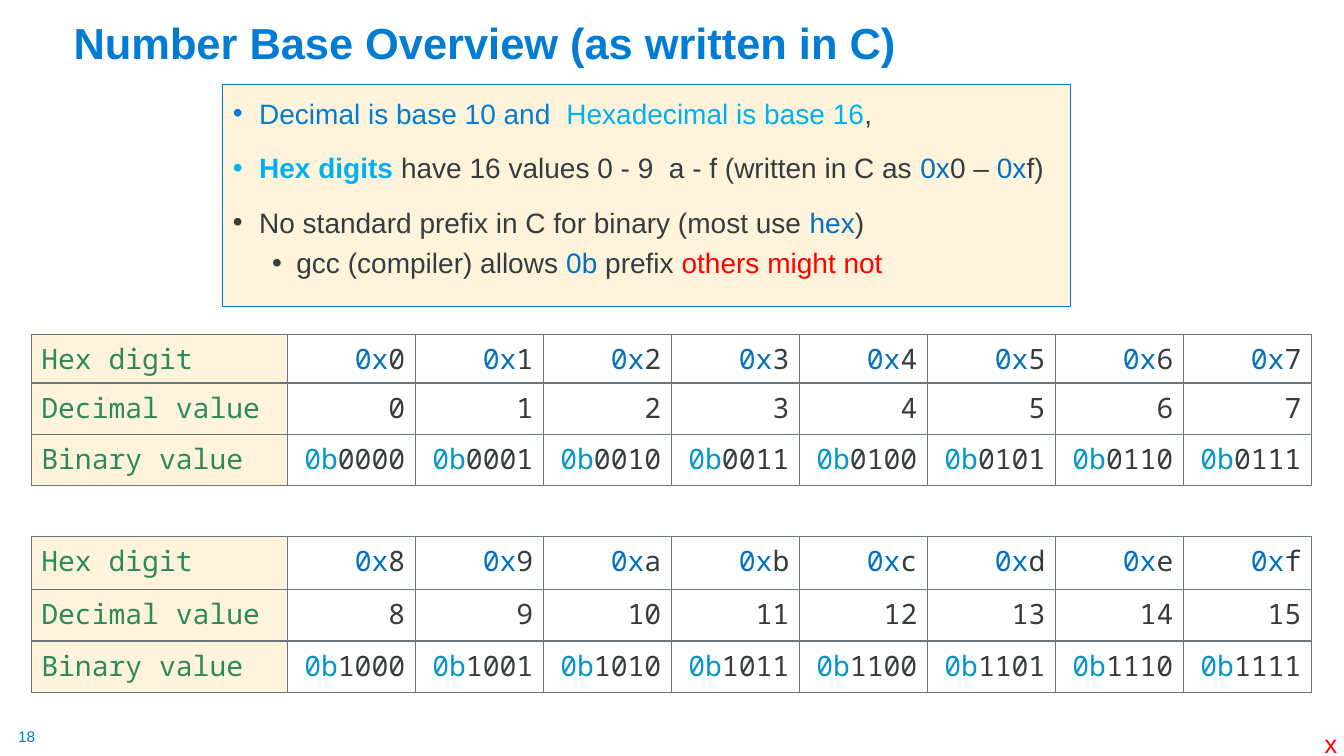
from lxml.etree import SubElement
from pptx import Presentation
from pptx.dml.color import RGBColor
from pptx.enum.text import MSO_ANCHOR, MSO_AUTO_SIZE, PP_ALIGN
from pptx.oxml.ns import qn
from pptx.util import Inches, Pt

# Colours and fonts
BLUE = RGBColor(0x00, 0x7C, 0xD5)
SKY = RGBColor(0x00, 0xB0, 0xF0)
HEX_BLUE = RGBColor(0x00, 0x70, 0xC0)
BINARY_BLUE = RGBColor(0x00, 0x98, 0xC9)
INK = RGBColor(0x36, 0x3B, 0x3E)
GREEN = RGBColor(0x2C, 0x89, 0x5B)
RED = RGBColor(0xFF, 0x00, 0x00)
CREAM = RGBColor(0xFF, 0xF4, 0xDB)
BORDER = RGBColor(0x6B, 0x76, 0x7D)
SANS = "Arial"
MONO = "Noto Sans Mono"

# Grid: a label column is two digit columns wide
COLUMN = 1.27
TABLE_LEFT = 0.31
DIGITS_PER_TABLE = 8
ROW = 0.51

# Bullets: level, then runs of text, colour and optional bold
BULLETS = [
    (0, [("Decimal is base 10 and  ", BLUE), ("Hexadecimal is base 16", SKY), (",", INK)]),
    (0, [("Hex digits ", SKY, True), ("have 16 values 0 - 9  a - f (written in C as ", INK),
         ("0x", HEX_BLUE), ("0 – ", INK), ("0x", HEX_BLUE), ("f)", INK)]),
    (0, [("No standard prefix in C for binary (most use ", INK), ("hex", HEX_BLUE), (")", INK)]),
    (1, [("gcc (compiler) allows ", INK), ("0b ", HEX_BLUE), ("prefix ", INK),
         ("others might not", RED)]),
]
# Per level: left margin, hanging indent, line spacing, space before
LEVELS = [(0.26, -0.26, 1.2, 10), (0.63, -0.24, 1.0, 5)]


def place(shape, left, top, width, height):
    shape.left, shape.top = Inches(left), Inches(top)
    shape.width, shape.height = Inches(width), Inches(height)


def add_run(paragraph, text, colour, size=20, font=SANS, bold=False):
    run = paragraph.add_run()
    run.text = text
    run.font.name = font
    run.font.size = Pt(size)
    run.font.bold = bold
    run.font.color.rgb = colour


def set_bullet(paragraph, margin, indent):
    properties = paragraph._p.get_or_add_pPr()
    properties.set("marL", str(Inches(margin)))
    properties.set("indent", str(Inches(indent)))
    SubElement(properties, qn("a:buFont"), typeface=SANS)
    SubElement(properties, qn("a:buChar"), char="•")


def fill_title(title):
    place(title, 0.63, 0.15, 11.5, 0.58)
    frame = title.text_frame
    frame.auto_size = MSO_AUTO_SIZE.NONE
    frame.vertical_anchor = MSO_ANCHOR.BOTTOM
    paragraph = frame.paragraphs[0]
    paragraph.alignment = PP_ALIGN.LEFT
    paragraph.line_spacing = 0.9
    add_run(paragraph, "Number Base Overview (as written in C)", BLUE, 31, bold=True)


def fill_body(body):
    place(body, 2.21, 0.84, 8.41, 2.2)
    body.fill.solid()
    body.fill.fore_color.rgb = CREAM
    body.line.color.rgb = BLUE
    body.line.width = Pt(0.75)
    frame = body.text_frame
    frame.auto_size = MSO_AUTO_SIZE.NONE
    frame.vertical_anchor = MSO_ANCHOR.TOP
    for index, (level, runs) in enumerate(BULLETS):
        paragraph = frame.add_paragraph() if index else frame.paragraphs[0]
        margin, indent, line_spacing, space_before = LEVELS[level]
        paragraph.level = level
        set_bullet(paragraph, margin, indent)
        paragraph.line_spacing = line_spacing
        paragraph.space_before = Pt(space_before if index else 0)
        for text, colour, *bold in runs:
            add_run(paragraph, text, colour, bold=bool(bold))


def style_cell(cell, fill=None):
    properties = cell._tc.get_or_add_tcPr()
    for side in ("lnL", "lnR", "lnT", "lnB"):
        line = SubElement(properties, qn(f"a:{side}"), w=str(Pt(1)))
        solid = SubElement(line, qn("a:solidFill"))
        SubElement(solid, qn("a:srgbClr"), val=str(BORDER))
    if fill is None:
        cell.fill.background()
    else:
        cell.fill.solid()
        cell.fill.fore_color.rgb = fill


def add_digit_table(slide, top, first_value, header_height):
    values = range(first_value, first_value + DIGITS_PER_TABLE)
    # Each row: label, prefix, prefix colour, number format
    rows = [("Hex digit", "0x", HEX_BLUE, "x"),
            ("Decimal value", "", INK, "d"),
            ("Binary value", "0b", BINARY_BLUE, "04b")]
    heights = [header_height, ROW, ROW]
    frame = slide.shapes.add_table(
        len(rows), 1 + DIGITS_PER_TABLE, Inches(TABLE_LEFT), Inches(top),
        Inches(COLUMN * (2 + DIGITS_PER_TABLE)), Inches(sum(heights)))
    table = frame.table
    table.first_row = table.horz_banding = False
    for index, column in enumerate(table.columns):
        column.width = Inches(COLUMN if index else 2 * COLUMN)
    for row, (label, prefix, prefix_colour, number_format) in enumerate(rows):
        table.rows[row].height = Inches(heights[row])
        label_cell = table.cell(row, 0)
        style_cell(label_cell, CREAM)
        add_run(label_cell.text_frame.paragraphs[0], label, GREEN, font=MONO)
        for column, value in enumerate(values, start=1):
            cell = table.cell(row, column)
            style_cell(cell)
            paragraph = cell.text_frame.paragraphs[0]
            paragraph.alignment = PP_ALIGN.RIGHT
            if prefix:
                add_run(paragraph, prefix, prefix_colour, font=MONO)
            add_run(paragraph, format(value, number_format), INK, font=MONO)


def add_label(slide, text, box, colour, size, inset=True):
    label = slide.shapes.add_textbox(*map(Inches, box))
    frame = label.text_frame
    frame.word_wrap = False
    if not inset:
        frame.margin_left = frame.margin_right = 0
        frame.margin_top = frame.margin_bottom = 0
    add_run(frame.paragraphs[0], text, colour, size)


def main():
    presentation = Presentation()
    presentation.slide_width = Inches(13.33)
    presentation.slide_height = Inches(7.5)
    slide = presentation.slides.add_slide(presentation.slide_layouts[1])

    # Heading and key facts
    fill_title(slide.shapes.title)
    fill_body(slide.placeholders[1])

    # Digits 0 to 7, then 8 to f
    add_digit_table(slide, 3.32, 0, 0.48)
    add_digit_table(slide, 5.32, DIGITS_PER_TABLE, 0.53)

    # Page number and corner mark
    add_label(slide, "18", (0.18, 7.21, 0.19, 0.19), BLUE, 11, inset=False)
    add_label(slide, "x", (13.04, 7.18, 0.33, 0.4), RED, 18)

    presentation.save("out.pptx")


if __name__ == "__main__":
    main()
